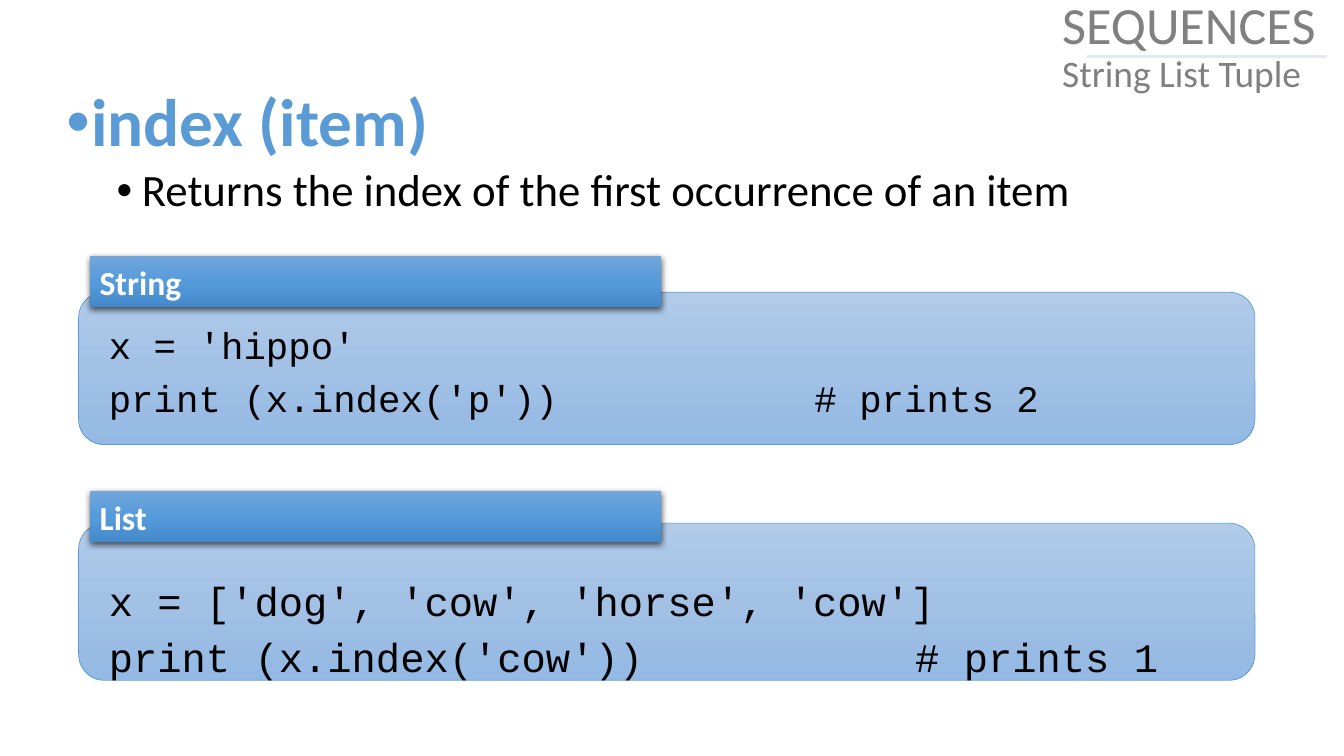
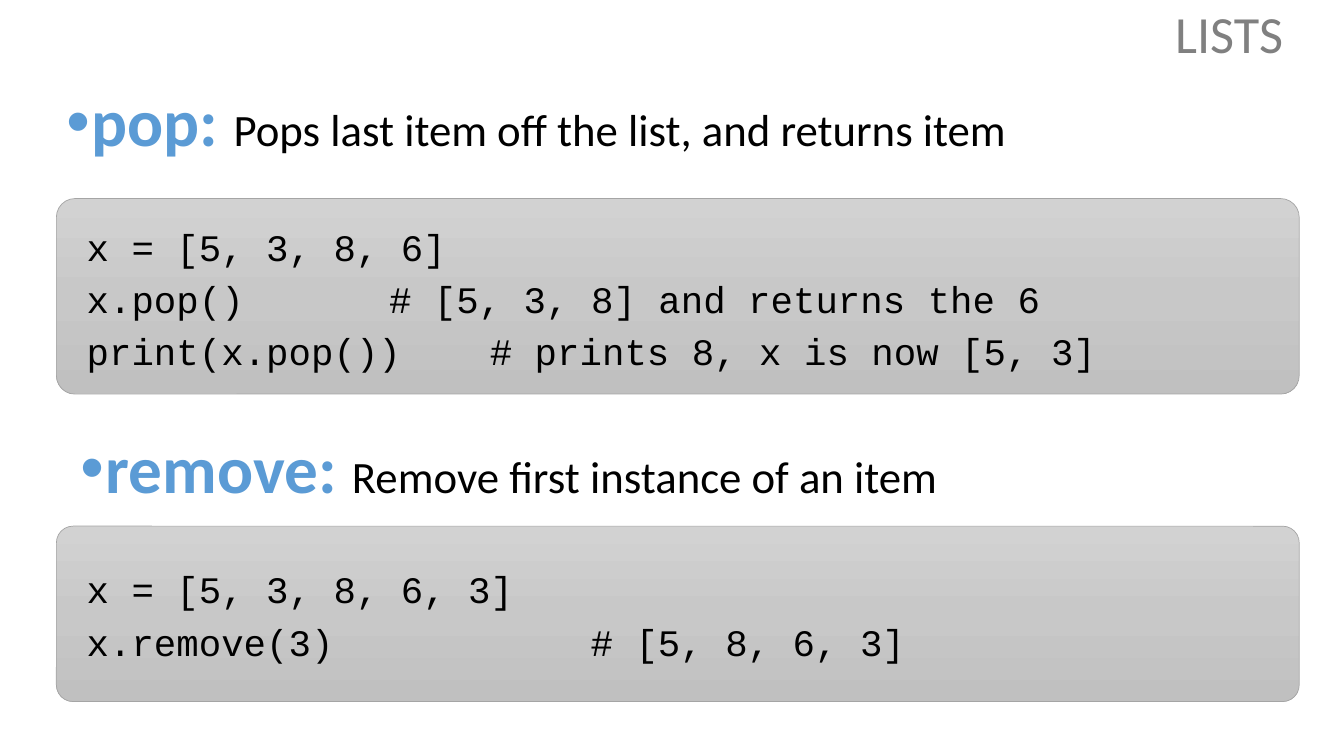
import copy

import lxml.etree
import pptx
import pptx.dml.color
import pptx.enum.shapes
import pptx.enum.text
import pptx.oxml.ns
import pptx.util

Inches = pptx.util.Inches
Pt = pptx.util.Pt
qn = pptx.oxml.ns.qn
RGB = pptx.dml.color.RGBColor.from_string
SHAPE = pptx.enum.shapes.MSO_SHAPE
ANCHOR = pptx.enum.text.MSO_ANCHOR

THEME = {
    "text": {
        "section": ("Calibri", 37.3, "808080", False),
        "topics": ("Calibri", 26.7, "808080", False),
        "method": ("Calibri", 48, "5B9BD5", True),
        "summary": ("Calibri", 32, "000000", False),
        "label": ("Calibri", 24, "FFFFFF", True),
        "code": ("Courier New", 26.7, "000000", False),
        "large code": ("Courier New", 28.9, "000000", False),
    },
    "panel": {
        "blue": (("B1CBE9", "A3C1E5", "93B9E4"), "5B9BD5"),
        "gray": (("D2D2D2", "C8C8C8", "C0C0C0"), "A5A5A5"),
        "label": (("71A6DB", "559BDB", "448ACA"), None),
    },
    "rule": "DEEBF7",
}


def write(frame, paragraphs, anchor=ANCHOR.TOP, inset=(0.1, 0.05), tab_count=0, spacing=1, before=0):
    frame.word_wrap = True
    frame.vertical_anchor = anchor
    frame.margin_left = frame.margin_right = Inches(inset[0])
    frame.margin_top = frame.margin_bottom = Inches(inset[1])
    for number, (bullet_at, runs) in enumerate(paragraphs):
        paragraph = frame.add_paragraph() if number else frame.paragraphs[0]
        paragraph.alignment = pptx.enum.text.PP_ALIGN.LEFT
        paragraph.line_spacing = spacing
        paragraph.space_before = Pt(before)
        properties = paragraph._p.get_or_add_pPr()
        if bullet_at is not None:
            properties.set("marL", str(Inches(bullet_at + 0.25)))
            properties.set("indent", str(Inches(-0.25)))
            lxml.etree.SubElement(properties, qn("a:buFont")).set("typeface", "Arial")
            lxml.etree.SubElement(properties, qn("a:buChar")).set("char", "•")
        if tab_count:
            tab_stops = lxml.etree.SubElement(properties, qn("a:tabLst"))
            for inch in range(1, tab_count + 1):
                lxml.etree.SubElement(tab_stops, qn("a:tab"), pos=str(Inches(inch)), algn="l")
        for words, style in runs:
            run = paragraph.add_run()
            run.text = words
            family, size, colour, bold = THEME["text"][style]
            run.font.name = family
            run.font.size = Pt(size)
            run.font.color.rgb = RGB(colour)
            run.font.bold = bold


def add_panel(slide, kind, box, look):
    panel = slide.shapes.add_shape(kind, *map(Inches, box))
    panel.shadow.inherit = False
    colours, outline = THEME["panel"][look]
    panel.fill.gradient()
    panel.fill.gradient_angle = 270
    stops = panel._element.spPr.find(".//" + qn("a:gsLst"))
    stops.insert(1, copy.deepcopy(stops[0]))
    for place, stop in zip((0, 50000, 100000), stops):
        stop.set("pos", str(place))
    for stop, colour in zip(panel.fill.gradient_stops, colours):
        stop.color.rgb = RGB(colour)
    if outline:
        panel.line.color.rgb = RGB(outline)
        panel.line.width = Pt(0.5)
    else:
        panel.line.fill.background()
    return panel


SLIDES = [
    {
        "title": ((10.44, -0.03, 3, 1), [("SEQUENCES", "section"), ("String List Tuple", "topics")]),
        "bullets": [
            ((0.56, 0.83, 12, 1.5), [
                (0, [("index (item)", "method")]),
                (0.5, [("Returns the index of the first occurrence of an item", "summary")]),
            ]),
        ],
        "look": "blue",
        "corner": 0.1667,
        "examples": [
            ((0.78, 2.9, 11.67, 1.51), 3.13, "code", ("String", 2.54),
             ["x = 'hippo'", "print (x.index('p'))\t\t\t# prints 2"]),
            ((0.78, 5.19, 11.67, 1.56), 5.64, "large code", ("List", 4.87),
             ["x = ['dog', 'cow', 'horse', 'cow']", "print (x.index('cow'))\t\t\t# prints 1"]),
        ],
        "rule": (10.78, 0.56, 13.17, 0.56),
    },
    {
        "title": ((11.56, -0.03, 1.89, 0.78), [("LISTS", "section")]),
        "bullets": [
            ((0.56, 0.83, 12, 0.93), [
                (0, [("pop: ", "method"), ("Pops last item off the list, and returns item", "summary")]),
            ]),
            ((0.7, 4.27, 12, 0.86), [
                (0, [("remove: ", "method"), ("Remove first instance of an item", "summary")]),
            ]),
        ],
        "look": "gray",
        "corner": 0.095,
        "examples": [
            ((0.56, 1.97, 12.33, 1.94), 2.15, "code", None,
             ["x = [5, 3, 8, 6]", "x.pop()\t\t# [5, 3, 8] and returns the 6",
              "print(x.pop())\t# prints 8, x is now [5, 3]"]),
            ((0.56, 5.22, 12.33, 1.74), 5.55, "code", None,
             ["x = [5, 3, 8, 6, 3]", "x.remove(3)\t\t\t# [5, 8, 6, 3]"]),
        ],
        "rule": None,
    },
]

deck = pptx.Presentation()
deck.slide_width = Inches(40 / 3)
deck.slide_height = Inches(7.5)

for content in SLIDES:
    slide = deck.slides.add_slide(deck.slide_layouts[6])

    for box, paragraphs in content["bullets"]:
        bullets = slide.shapes.add_textbox(*map(Inches, box))
        write(bullets.text_frame, paragraphs, spacing=0.9, before=5)

    for box, code_top, style, label, lines in content["examples"]:
        left, top, width, height = box
        panel = add_panel(slide, SHAPE.ROUNDED_RECTANGLE, box, content["look"])
        panel.adjustments[0] = content["corner"]

        code_height = top + height - code_top
        code = slide.shapes.add_textbox(*map(Inches, (left, code_top, width, code_height)))
        write(code.text_frame, [(None, [(line, style)]) for line in lines],
              inset=(0.3, 0.07), tab_count=8, before=round(THEME["text"][style][1] * 0.2, 1))

        if label:
            name, label_top = label
            tab = add_panel(slide, SHAPE.RECTANGLE, (left + 0.11, label_top, 5.67, 0.51), "label")
            shadow = lxml.etree.SubElement(tab._element.spPr.find(qn("a:effectLst")), qn("a:outerShdw"))
            for key, value in (("blurRad", Pt(4.5)), ("dist", Pt(1.5)), ("dir", 5400000), ("rotWithShape", 0)):
                shadow.set(key, str(value))
            shade = lxml.etree.SubElement(shadow, qn("a:srgbClr"), val="000000")
            lxml.etree.SubElement(shade, qn("a:alpha"), val="63000")
            write(tab.text_frame, [(None, [(name, "label")])], anchor=ANCHOR.MIDDLE)

    title_box, title_lines = content["title"]
    title = slide.shapes.add_textbox(*map(Inches, title_box))
    write(title.text_frame, [(None, [line]) for line in title_lines], anchor=ANCHOR.MIDDLE, spacing=0.9)

    if content["rule"]:
        rule = slide.shapes.add_connector(
            pptx.enum.shapes.MSO_CONNECTOR.STRAIGHT, *map(Inches, content["rule"]))
        rule.line.color.rgb = RGB(THEME["rule"])
        rule.line.width = Pt(2)
        lxml.etree.SubElement(rule._element.spPr, qn("a:effectLst"))

deck.save("out.pptx")
